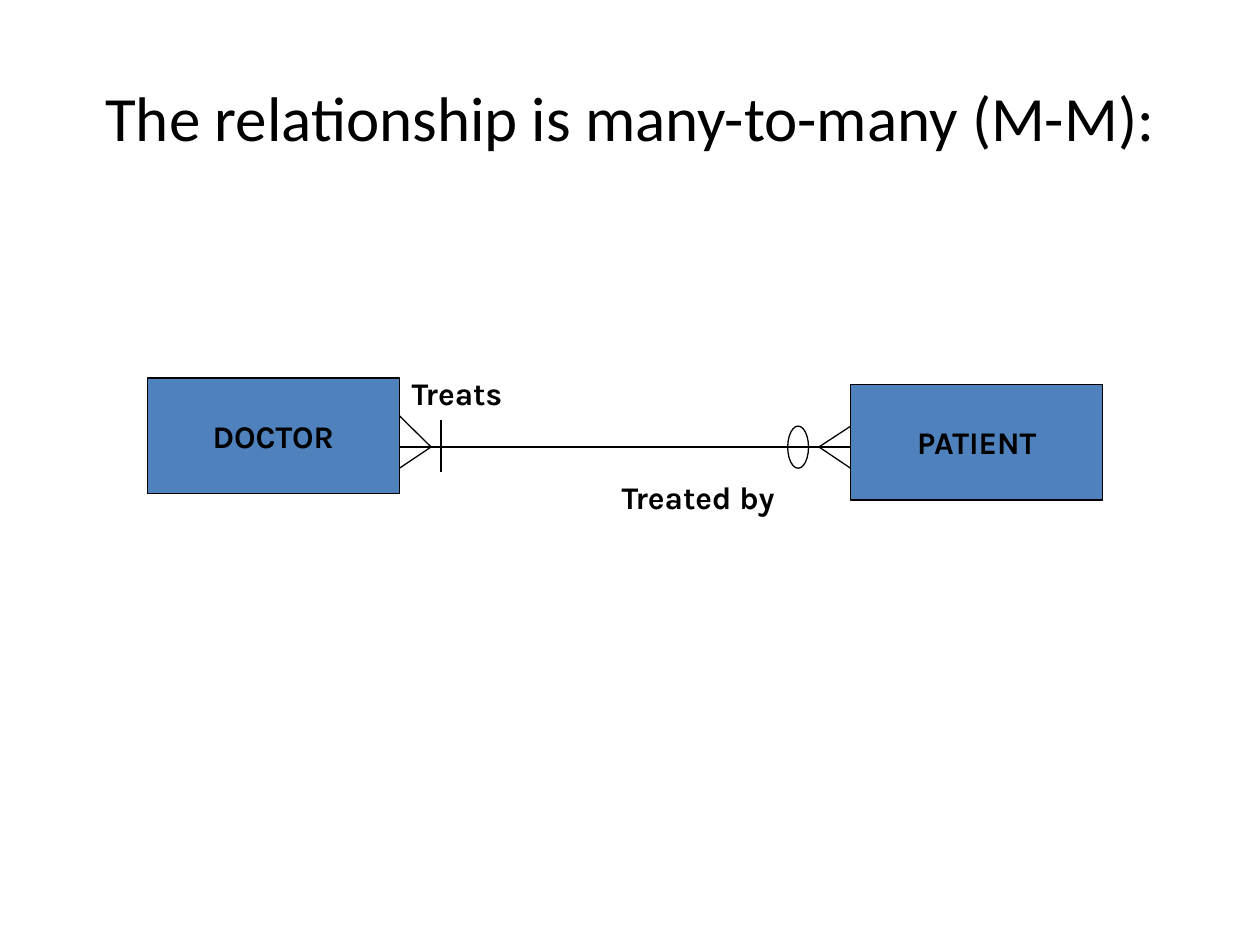
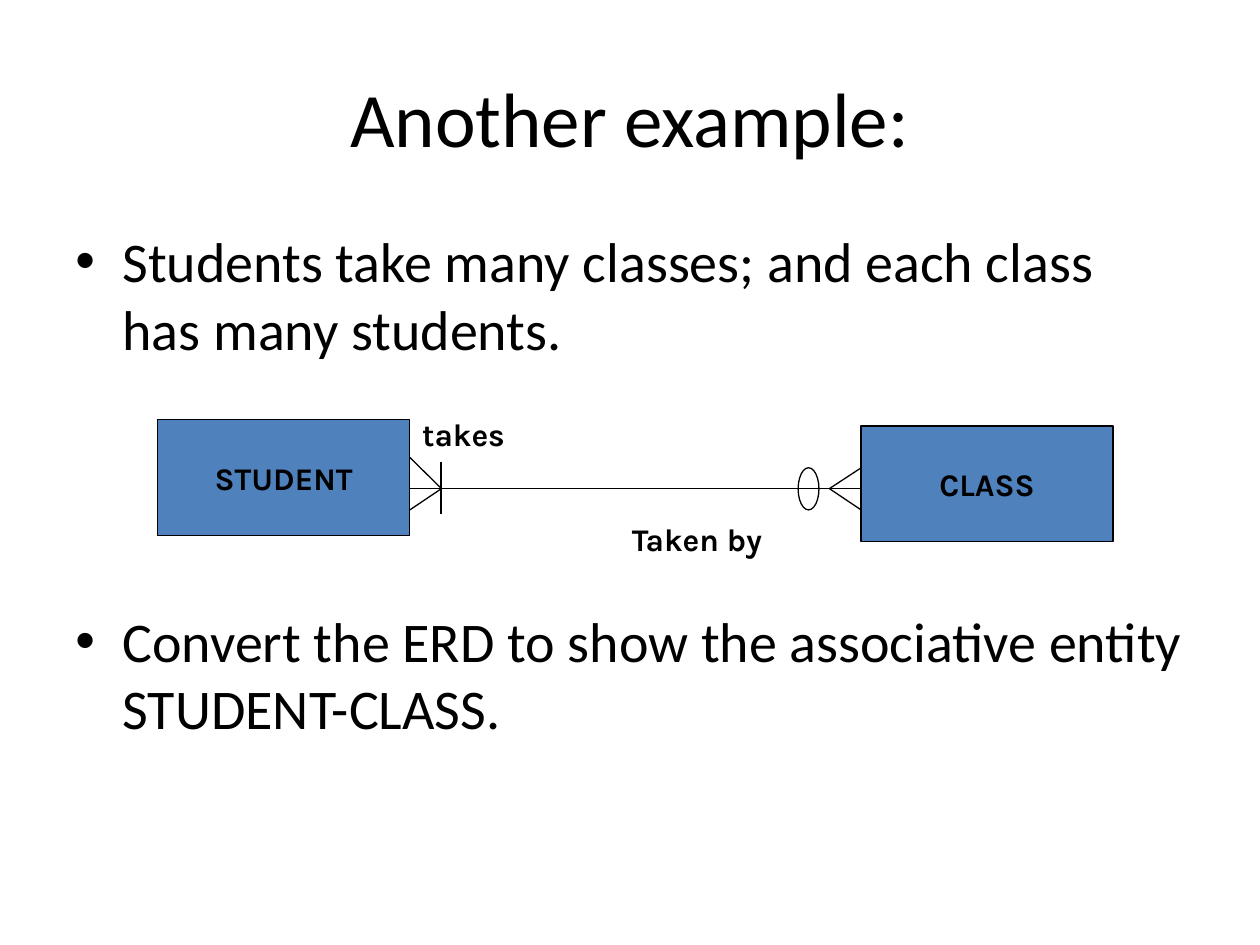
from lxml import etree
from pptx import Presentation
from pptx.dml.color import RGBColor
from pptx.enum.shapes import MSO_CONNECTOR, MSO_SHAPE
from pptx.enum.text import MSO_ANCHOR, MSO_AUTO_SIZE, PP_ALIGN
from pptx.oxml.ns import qn
from pptx.util import Cm, Pt

STRAIGHT = MSO_CONNECTOR.STRAIGHT
RECTANGLE = MSO_SHAPE.RECTANGLE
OVAL = MSO_SHAPE.OVAL
MIDDLE = MSO_ANCHOR.MIDDLE
NO_AUTOFIT = MSO_AUTO_SIZE.NONE
CENTER = PP_ALIGN.CENTER
LEFT = PP_ALIGN.LEFT

COLORS = {"entity": "4F81BD", "ink": "000000"}
TEXT_FONT = "Calibri"
DIAGRAM_FONT = "Karla"
TITLE_ONLY = 5

ENTITY_WIDTH, ENTITY_HEIGHT = 5.08, 2.33
PATIENT_SIDE, PATIENT_DROP = 14.18, 0.13
AXIS = 1.39
FOOT = 0.64
FOOT_TOP, FOOT_BOTTOM = 0.97, 1.82

slides = [
    {
        "title": "The relationship is many-to-many (M-M):",
        "title_size": 36,
        "bullets": [],
        "origin": (2.97, 7.62),
        "entities": ["DOCTOR", "PATIENT"],
        "roles": ["Treats", "Treated by"],
    },
    {
        "title": "Another example:",
        "title_size": 44,
        "bullets": [
            ("Students take many classes; and each class has many students.", 0),
            ("Convert the ERD to show the associative entity STUDENT-CLASS.", 140),
        ],
        "origin": (3.18, 8.46),
        "entities": ["STUDENT", "CLASS"],
        "roles": ["takes", "Taken by"],
    },
]


def style(paragraph, text, font, size, bold=False, align=LEFT):
    paragraph.text = text
    paragraph.alignment = align
    paragraph.font.name = font
    paragraph.font.size = Pt(size)
    paragraph.font.bold = bold
    paragraph.font.color.rgb = RGBColor.from_string(COLORS["ink"])


def outline(shape):
    shape.line.color.rgb = RGBColor.from_string(COLORS["ink"])
    shape.line.width = Pt(0.75)


deck = Presentation()
deck.slide_width = Cm(25.4)
deck.slide_height = Cm(19.05)

for content in slides:
    page = deck.slides.add_slide(deck.slide_layouts[TITLE_ONLY])
    title = page.shapes.title
    title.left, title.top, title.width, title.height = Cm(1.27), Cm(0.76), Cm(22.86), Cm(3.18)
    title.text_frame.vertical_anchor = MIDDLE
    title.text_frame.auto_size = NO_AUTOFIT
    style(title.text_frame.paragraphs[0], content["title"], TEXT_FONT,
          content["title_size"], align=CENTER)

    if content["bullets"]:
        body = page.shapes.add_textbox(Cm(1.27), Cm(4.45), Cm(22.86), Cm(12.57))
        body.text_frame.word_wrap = True
        for index, (text, gap) in enumerate(content["bullets"]):
            para = body.text_frame.add_paragraph() if index else body.text_frame.paragraphs[0]
            style(para, text, TEXT_FONT, 32)
            para.space_before = Pt(gap)
            properties = para._p.get_or_add_pPr()
            properties.set("marL", str(Cm(0.95)))
            properties.set("indent", str(-Cm(0.95)))
            etree.SubElement(properties, qn("a:buFont")).set("typeface", "Arial")
            bullet = etree.SubElement(properties, qn("a:buChar"))
            bullet.set("char", "•")
            defaults = properties.find(qn("a:defRPr"))
            properties.append(defaults)

    left, top = content["origin"]
    axis = top + AXIS
    near = left + ENTITY_WIDTH
    far = left + PATIENT_SIDE

    corners = [(left, top), (far, top + PATIENT_DROP)]
    for name, (x, y) in zip(content["entities"], corners):
        entity = page.shapes.add_shape(RECTANGLE, Cm(x), Cm(y), Cm(ENTITY_WIDTH), Cm(ENTITY_HEIGHT))
        entity.shadow.inherit = False
        entity.fill.solid()
        entity.fill.fore_color.rgb = RGBColor.from_string(COLORS["entity"])
        outline(entity)
        entity.text_frame.vertical_anchor = MIDDLE
        style(entity.text_frame.paragraphs[0], name, DIAGRAM_FONT, 18, True, CENTER)

    optional = page.shapes.add_shape(OVAL, Cm(far - 1.27), Cm(top + FOOT_TOP), Cm(0.42), Cm(0.85))
    optional.shadow.inherit = False
    optional.fill.background()
    outline(optional)

    mandatory = 8.89
    lines = [
        (near, axis, far, axis),
        (near, top + 0.76, near + FOOT, axis),
        (near + FOOT, axis, near, top + FOOT_BOTTOM),
        (far - FOOT, axis, far, top + FOOT_TOP),
        (far - FOOT, axis, far, top + FOOT_BOTTOM),
        (mandatory, top + 0.85, mandatory, top + 1.9),
    ]
    for line in lines:
        connector = page.shapes.add_connector(STRAIGHT, *[Cm(value) for value in line])
        outline(connector)
        etree.SubElement(connector._element.spPr, qn("a:effectLst"))

    places = [(near, top - 0.21, 3.2), (left + 9.31, top + 1.9, 5.05)]
    for role, (x, y, width) in zip(content["roles"], places):
        label = page.shapes.add_textbox(Cm(x), Cm(y), Cm(width), Cm(1.27))
        label.text_frame.word_wrap = True
        style(label.text_frame.paragraphs[0], role, DIAGRAM_FONT, 18, True)

deck.save("out.pptx")
